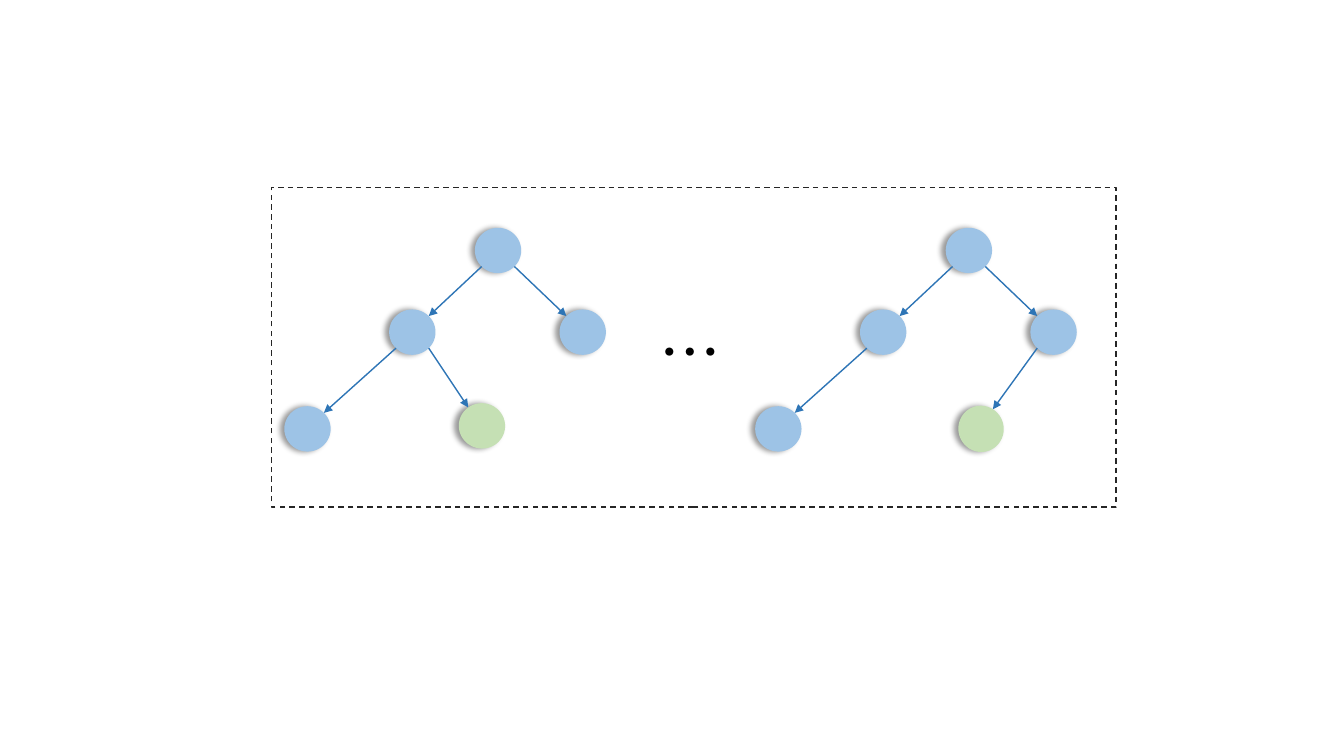
"""Build a slide with two binary trees in a dashed frame, joined by an ellipsis."""
import math
from dataclasses import dataclass

import pptx
import pptx.dml.color
import pptx.enum.dml
import pptx.enum.shapes
import pptx.oxml
import pptx.oxml.ns
import pptx.shapes.shapetree
import pptx.util

Inches = pptx.util.Inches
Pt = pptx.util.Pt
RGBColor = pptx.dml.color.RGBColor
MSO_SHAPE = pptx.enum.shapes.MSO_SHAPE
qn = pptx.oxml.ns.qn

BLUE = RGBColor(0x9D, 0xC3, 0xE6)
GREEN = RGBColor(0xC5, 0xE0, 0xB4)
ARROW = RGBColor(0x2E, 0x75, 0xB6)
FRAME = RGBColor(0x26, 0x26, 0x26)
BLACK = RGBColor(0, 0, 0)
FONT = "Noto Sans CJK SC"
NODE_W, NODE_H = 0.46, 0.45
LEFT, RIGHT = -1, 1
TOP, BOTTOM = -1, 1
NS = pptx.oxml.ns.nsdecls("a")
SHADOW = (
    f'<a:outerShdw {NS} blurRad="50800" dist="38100" dir="10800000" '
    'algn="r" rotWithShape="0"><a:srgbClr val="000000">'
    '<a:alpha val="40000"/></a:srgbClr></a:outerShdw>'
)


@dataclass(frozen=True)
class Node:
    x: float
    y: float
    fill: RGBColor = BLUE
    turn: float = 0

    def corner(self, side: int, level: int) -> tuple[float, float]:
        """Return the diagonal point of the turned ellipse."""
        dx = side * NODE_W / 2 * math.sqrt(0.5)
        dy = level * NODE_H / 2 * math.sqrt(0.5)
        a = math.radians(self.turn)
        return (self.x + NODE_W / 2 + dx * math.cos(a) - dy * math.sin(a),
                self.y + NODE_H / 2 + dx * math.sin(a) + dy * math.cos(a))


@dataclass(frozen=True)
class Edge:
    parent: int
    child: int
    leave: int
    enter: int


@dataclass(frozen=True)
class Tree:
    nodes: list[Node]
    edges: list[Edge]


def upper_nodes(x: float) -> list[Node]:
    """Return the root, its two children and the left leaf."""
    return [Node(x, 2.26), Node(x - 0.85, 3.07),
            Node(x + 0.84, 3.07), Node(x - 1.89, 4.03)]


UPPER_EDGES = [Edge(0, 1, LEFT, RIGHT), Edge(0, 2, RIGHT, LEFT),
               Edge(1, 3, LEFT, RIGHT)]
TREES = [
    Tree(upper_nodes(4.71) + [Node(4.55, 4, GREEN, 9)],
         UPPER_EDGES + [Edge(1, 4, RIGHT, LEFT)]),
    Tree(upper_nodes(9.38) + [Node(9.5, 4.03, GREEN, 76.8)],
         UPPER_EDGES + [Edge(2, 4, LEFT, LEFT)]),
]


def add_frame(shapes: pptx.shapes.shapetree.GroupShapes) -> None:
    """Draw the dashed frame."""
    s = shapes.add_shape(MSO_SHAPE.RECTANGLE, Inches(2.69), Inches(1.86),
                         Inches(8.38), Inches(3.17))
    s.shadow.inherit = False
    s.fill.background()
    s.line.color.rgb = FRAME
    s.line.width = Pt(1)
    s.line.dash_style = pptx.enum.dml.MSO_LINE.DASH


def add_node(shapes: pptx.shapes.shapetree.GroupShapes, node: Node) -> None:
    """Draw one tree node with its soft shadow."""
    s = shapes.add_shape(MSO_SHAPE.OVAL, Inches(node.x), Inches(node.y),
                         Inches(NODE_W), Inches(NODE_H))
    s.rotation = node.turn
    s.fill.solid()
    s.fill.fore_color.rgb = node.fill
    s.line.fill.background()
    s.shadow.inherit = False
    effects = s._element.spPr.find(qn("a:effectLst"))
    effects.append(pptx.oxml.parse_xml(SHADOW))


def add_arrow(shapes: pptx.shapes.shapetree.GroupShapes,
              start: tuple[float, float], end: tuple[float, float]) -> None:
    """Draw an arrow from a parent to a child."""
    s = shapes.add_connector(pptx.enum.shapes.MSO_CONNECTOR.STRAIGHT,
                             *(Inches(v) for v in start + end))
    s.line.color.rgb = ARROW
    s.line.width = Pt(1)
    s.line._get_or_add_ln().append(
        pptx.oxml.parse_xml(f'<a:tailEnd {NS} type="triangle"/>'))
    s._element.spPr.append(pptx.oxml.parse_xml(f"<a:effectLst {NS}/>"))


def add_tree(shapes: pptx.shapes.shapetree.GroupShapes, tree: Tree) -> None:
    """Draw the nodes and arrows of a tree."""
    for node in tree.nodes:
        add_node(shapes, node)
    for edge in tree.edges:
        add_arrow(shapes, tree.nodes[edge.parent].corner(edge.leave, BOTTOM),
                  tree.nodes[edge.child].corner(edge.enter, TOP))


def add_ellipsis(shapes: pptx.shapes.shapetree.GroupShapes) -> None:
    """Write the dots between the trees."""
    tf = shapes.add_textbox(Inches(6.44), Inches(3.07),
                            Inches(1.1), Inches(0.84)).text_frame
    tf.word_wrap = True
    tf.text = "…"
    r = tf.paragraphs[0].runs[0]
    r.font.size = Pt(44)
    r.font.name = FONT
    r.font.color.rgb = BLACK
    rPr = r._r.get_or_add_rPr()
    rPr.set("lang", "zh-CN")
    rPr.append(pptx.oxml.parse_xml(f'<a:ea {NS} typeface="{FONT}"/>'))


def main() -> None:
    """Build and save the slide."""
    prs = pptx.Presentation()
    prs.slide_width, prs.slide_height = Inches(13.33), Inches(7.5)
    slide = prs.slides.add_slide(prs.slide_layouts[6])
    shapes = slide.shapes.add_group_shape().shapes
    add_frame(shapes)
    for tree in TREES:
        add_tree(shapes, tree)
    add_ellipsis(shapes)
    prs.save("out.pptx")


if __name__ == "__main__":
    main()
